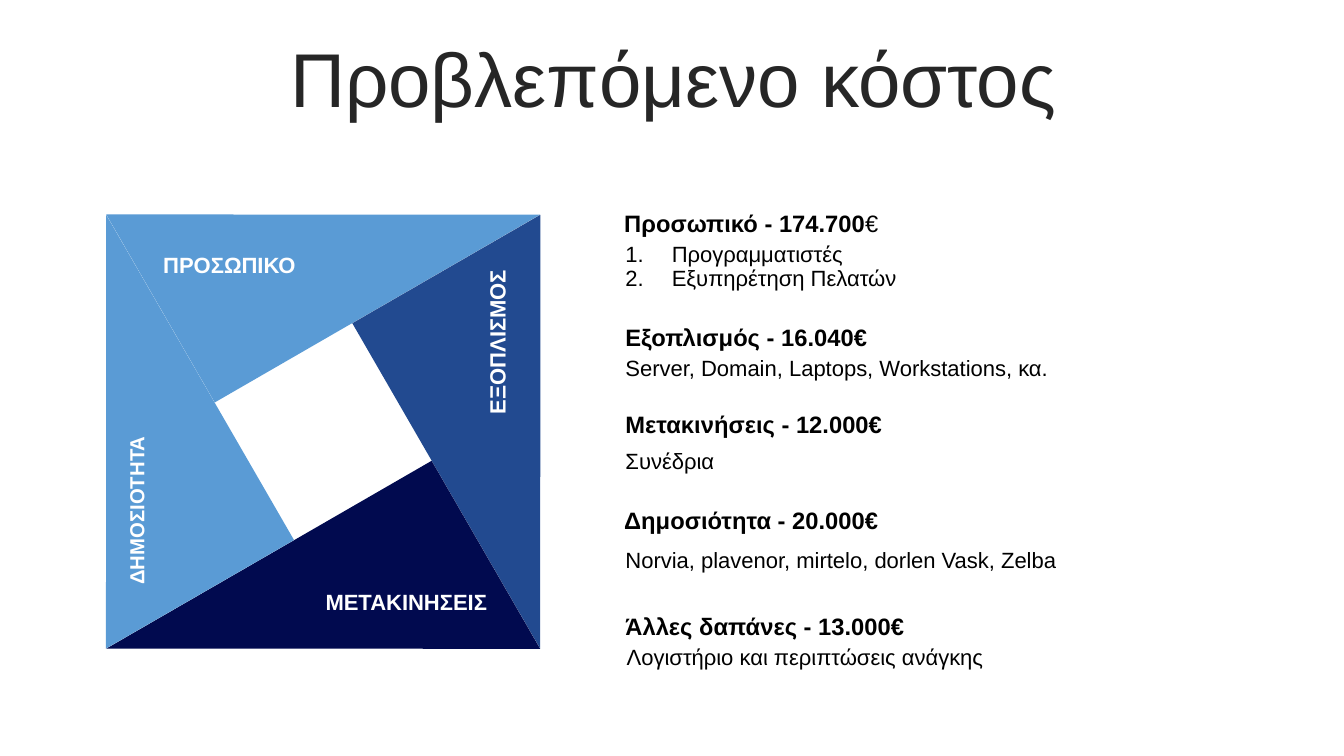
from lxml import etree
from pptx import Presentation
from pptx.dml.color import RGBColor
from pptx.enum.shapes import MSO_SHAPE
from pptx.enum.text import MSO_ANCHOR, PP_ALIGN
from pptx.oxml.ns import qn
from pptx.util import Inches, Pt

TRIANGLE = MSO_SHAPE.RIGHT_TRIANGLE
TOP, MIDDLE = MSO_ANCHOR.TOP, MSO_ANCHOR.MIDDLE
LEFT, CENTER, RIGHT = PP_ALIGN.LEFT, PP_ALIGN.CENTER, PP_ALIGN.RIGHT

COLORS = {"sky": "5A9BD5", "blue": "224A90", "navy": "010A4F",
          "title": "262626", "text": "000000", "label": "FFFFFF"}


class CostSlide:
    font = "Arial"
    line_spacing = 0.93

    def __init__(self, deck):
        self.slide = deck.slides.add_slide(deck.slide_layouts[6])

    def triangle(self, center_x, center_y, width, height, rotation, color):
        shape = self.slide.shapes.add_shape(
            TRIANGLE, Inches(center_x - width / 2), Inches(center_y - height / 2),
            Inches(width), Inches(height))
        shape.rotation = rotation
        shape.shadow.inherit = False
        shape.fill.solid()
        shape.fill.fore_color.rgb = RGBColor.from_string(COLORS[color])
        shape.line.fill.background()

    def text(self, lines, left, top, width, height, size, color="text", bold=False,
             align=LEFT, anchor=TOP, rotation=0, spacing=line_spacing, numbered=False):
        box = self.slide.shapes.add_textbox(
            Inches(left), Inches(top), Inches(width), Inches(height))
        box.rotation = rotation
        frame = box.text_frame
        frame.word_wrap = True
        frame.vertical_anchor = anchor
        frame.text = "\n".join(lines)
        for para in frame.paragraphs:
            para.alignment = align
            para.line_spacing = spacing
            if numbered:
                self.number(para)
            for span in para.runs:
                self.style(span, size, color, bold)
        return frame

    def style(self, span, size, color, bold):
        span.font.name = self.font
        span.font.size = Pt(size)
        span.font.bold = bold
        span.font.color.rgb = RGBColor.from_string(COLORS[color])

    def number(self, para):
        properties = para._p.get_or_add_pPr()
        indent = Inches(0.38)
        properties.set("marL", str(indent))
        properties.set("indent", str(-indent))
        etree.SubElement(properties, qn("a:buFont"), typeface=self.font)
        etree.SubElement(properties, qn("a:buAutoNum"), type="arabicPeriod")

    def heading(self, title, left, top):
        return self.text([title], left, top, 5.14, 0.32, 14, bold=True, anchor=MIDDLE)

    def label(self, word, left, top, width, height=0.3, size=13, align=LEFT, rotation=0):
        return self.text([word], left, top, width, height, size, "label", True,
                         align, rotation=rotation)


def main():
    deck = Presentation()
    deck.slide_width, deck.slide_height = Inches(11.02), Inches(6.2)
    page = CostSlide(deck)

    # Pinwheel: four triangles, each a quarter turn further round the centre
    center_x, center_y, radius = 2.65, 3.54, 1.78
    directions = [(0, -1), (1, 0), (0, 1), (-1, 0)]
    for turn, ((x, y), color) in enumerate(zip(directions, ["sky", "blue", "navy", "sky"])):
        page.triangle(center_x + x * radius, center_y + y * radius, 3.08, radius,
                      (330 + 90 * turn) % 360, color)

    # Title
    title = page.text(["Προβλεπόμενο κόστος"], 0.29, 0.35, 10.46, 0.65, 45, "title",
                      align=CENTER, anchor=MIDDLE, spacing=0.9)
    title.margin_top = title.margin_bottom = 0

    # Pinwheel labels
    page.label("ΠΡΟΣΩΠΙΚΟ", 1.24, 2.03, 1.86)
    publicity = page.label("ΔΗΜΟΣΙΟΤΗΤΑ", 0.47, 3.95, 1.51, 0.48, 12, rotation=270)
    publicity.margin_left = Inches(0.15)
    page.label("ΜΕΤΑΚΙΝΗΣΕΙΣ", 2.3, 4.8, 1.79, align=RIGHT)
    page.label("ΕΞΟΠΛΙΣΜΟΣ", 3.37, 2.68, 1.43, align=RIGHT, rotation=270)

    # Cost list: heading with its left and top, then details with theirs
    costs = [
        ("Προσωπικό - 174.700€", 5.02, 1.68,
         ["Προγραμματιστές", "Εξυπηρέτηση Πελατών"], 5.03, 1.94),
        ("Εξοπλισμός - 16.040€", 5.03, 2.62,
         ["Server, Domain, Laptops, Workstations, κα."], 5.03, 2.88),
        ("Μετακινήσεις - 12.000€", 5.03, 3.33, ["Συνέδρια"], 5.03, 3.64),
        ("Δημοσιότητα - 20.000€", 5.02, 4.12,
         ["Norvia, plavenor, mirtelo, dorlen Vask, Zelba"], 5.03, 4.45),
        ("Άλλες δαπάνες - 13.000€", 5.03, 4.99,
         ["Λογιστήριο και περιπτώσεις ανάγκης"], 5.04, 5.25),
    ]
    for number, (name, left, top, details, detail_left, detail_top) in enumerate(costs):
        heading = page.heading(name, left, top)
        if number == 0:
            # The first euro sign is not bold
            para = heading.paragraphs[0]
            para.runs[0].text = name.rstrip("€")
            euro = para.add_run()
            euro.text = "€"
            page.style(euro, 14, "text", False)
        page.text(details, detail_left, detail_top, 5.12, 0.09 + 0.21 * len(details), 13,
                  numbered=len(details) > 1)

    deck.save("out.pptx")


if __name__ == "__main__":
    main()
